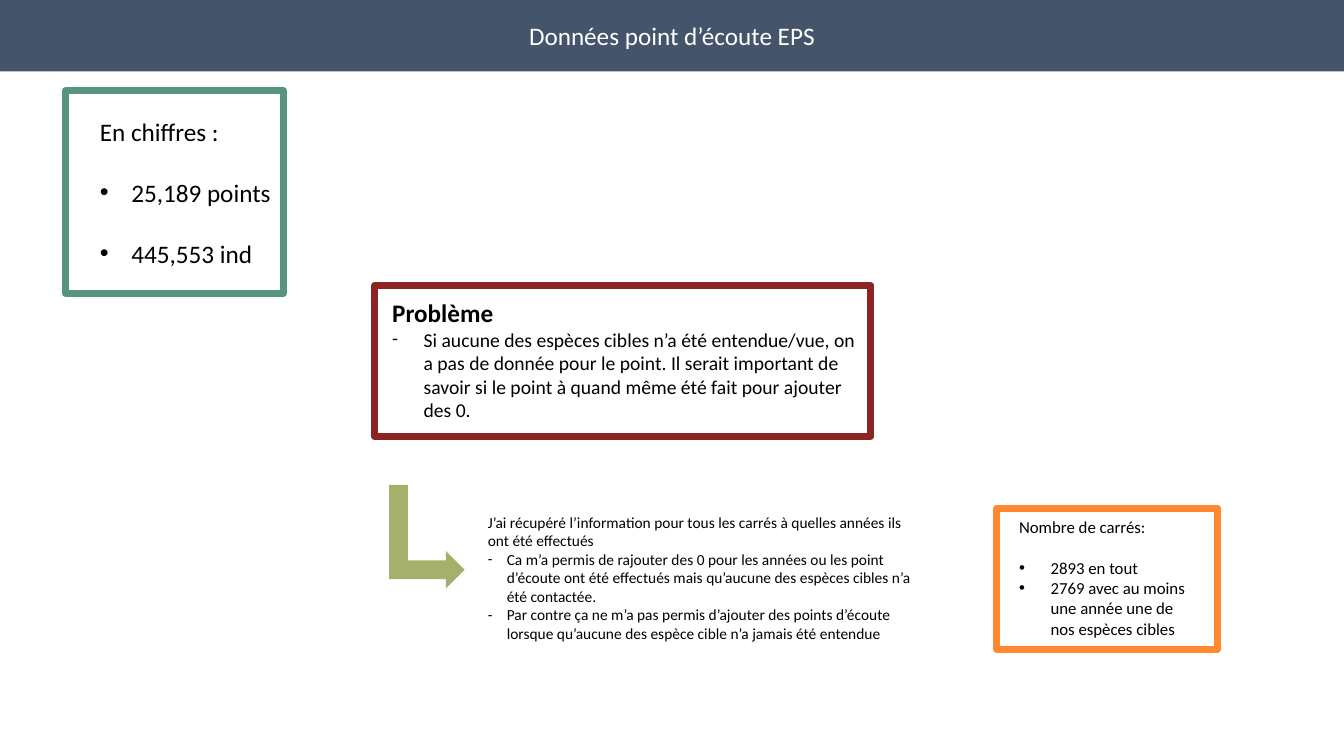
"""Builds the slide on EPS listening-point data."""
from dataclasses import dataclass

from lxml.etree import SubElement
from pptx import Presentation
from pptx.dml.color import RGBColor as Color
from pptx.enum.shapes import MSO_SHAPE as Preset
from pptx.enum.text import MSO_ANCHOR as Anchor, MSO_AUTO_SIZE as AutoSize, PP_ALIGN as Align
from pptx.oxml.ns import qn
from pptx.util import Pt


@dataclass(frozen=True)
class Theme:
    """Colours, font and type sizes of the slide."""
    font: str = "Calibri"
    banner: str = "44546A"
    light: str = "FFFFFF"
    dark: str = "000000"
    figures: str = "589482"
    problem: str = "8C2423"
    squares: str = "FF8830"
    arrow: str = "A6B06D"
    heading: int = 18
    body: int = 14
    small: int = 12
    note: int = 11
    frame_width: int = 5


def write(text_frame, text, size, color, font, bold=False, align=Align.LEFT,
          bullet=None, indent=0, before=0):
    """Add one formatted paragraph to a text frame."""
    first = text_frame.paragraphs[0]
    paragraph = text_frame.add_paragraph() if first.runs else first
    paragraph.alignment = align
    paragraph.line_spacing = 1.0
    paragraph.space_before = Pt(before)
    paragraph.space_after = Pt(0)
    run = paragraph.add_run()
    run.text = text
    run.font.name = font
    run.font.size = Pt(size)
    run.font.bold = bold
    run.font.color.rgb = Color.from_string(color)
    properties = paragraph._p.get_or_add_pPr()
    properties.set("marL", str(Pt(indent)))
    properties.set("indent", str(-Pt(indent)))
    if bullet:
        SubElement(properties, qn("a:buFont"), typeface="Arial" if bullet == "•" else font)
        SubElement(properties, qn("a:buChar"), char=bullet)
    else:
        SubElement(properties, qn("a:buNone"))


class SlideBuilder:
    """Holds the theme and the current slide."""

    def __init__(self, slide, theme):
        """Keep the slide and its theme."""
        self.slide = slide
        self.theme = theme

    def place(self, index, box, anchor):
        """Move a placeholder and return its text frame."""
        shape = self.slide.placeholders[index]
        shape.left, shape.top, shape.width, shape.height = map(Pt, box)
        text_frame = shape.text_frame
        text_frame.word_wrap = True
        text_frame.auto_size = AutoSize.NONE
        text_frame.vertical_anchor = anchor
        return shape, text_frame

    def title(self, text, box):
        """Fill the title banner."""
        theme = self.theme
        shape, text_frame = self.place(0, box, Anchor.MIDDLE)
        shape.fill.solid()
        shape.fill.fore_color.rgb = Color.from_string(theme.banner)
        write(text_frame, text, theme.heading, theme.light, theme.font, align=Align.CENTER)

    def bullets(self, index, box, heading, items, size, heading_size=None,
                bold=False, bullet="•", indent=22.5, gaps=(0, 0)):
        """Write a heading and its list in a body placeholder."""
        theme = self.theme
        _, text_frame = self.place(index, box, Anchor.TOP)
        write(text_frame, heading, heading_size or size, theme.dark, theme.font, bold=bold)
        for item, gap in zip(items, gaps):
            write(text_frame, item, size, theme.dark, theme.font,
                  bullet=bullet, indent=indent, before=gap)

    def shape(self, preset, box):
        """Add a preset shape without shadow."""
        shape = self.slide.shapes.add_shape(preset, *map(Pt, box))
        shape.shadow.inherit = False
        return shape

    def frame(self, box, color):
        """Add an unfilled coloured frame."""
        shape = self.shape(Preset.RECTANGLE, box)
        shape.fill.background()
        shape.line.color.rgb = Color.from_string(color)
        shape.line.width = Pt(self.theme.frame_width)

    def bent_arrow(self, box, color):
        """Add an arrow going down, then right."""
        shape = self.shape(Preset.BENT_UP_ARROW, box)
        shape.rotation = 90
        shape.fill.solid()
        shape.fill.fore_color.rgb = Color.from_string(color)
        shape.line.fill.background()


def main():
    """Build and save the presentation."""
    presentation = Presentation()
    presentation.slide_width, presentation.slide_height = Pt(960), Pt(540)
    theme = Theme()
    comparison_layout = presentation.slide_layouts[4]
    builder = SlideBuilder(presentation.slides.add_slide(comparison_layout), theme)

    builder.title("Données point d’écoute EPS", (0, 0, 960, 51))
    builder.bullets(
        1, (272.9, 208.8, 354.2, 97.2), "Problème",
        ["Si aucune des espèces cibles n’a été entendue/vue, on a pas de donnée pour le point. "
         "Il serait important de savoir si le point à quand même été fait pour ajouter des 0."],
        theme.body, heading_size=theme.heading, bold=True, bullet="-")
    builder.bullets(
        2, (64.1, 79.2, 139, 116.6), "En chiffres :",
        ["25,189 points", "445,553 ind"], theme.heading, gaps=(22, 22))
    builder.bullets(
        3, (341.3, 362.9, 324, 100.8),
        "J’ai récupéré l’information pour tous les carrés à quelles années ils ont été effectués",
        ["Ca m’a permis de rajouter des 0 pour les années ou les point d’écoute ont été effectués "
         "mais qu’aucune des espèces cibles n’a été contactée.",
         "Par contre ça ne m’a pas permis d’ajouter des points d’écoute lorsque qu’aucune des "
         "espèce cible n’a jamais été entendue"],
        theme.note, bullet="-", indent=13.5)
    builder.bullets(
        4, (720.7, 365.8, 139, 94.3), "Nombre de carrés:",
        ["2893 en tout", "2769 avec au moins une année une de nos espèces cibles"],
        theme.small, gaps=(14.6, 0))

    builder.frame((267.8, 203.8, 354.2, 108), theme.problem)
    builder.frame((46.8, 64.8, 155.5, 144.7), theme.figures)
    builder.frame((712.1, 362.9, 157.7, 100.8), theme.squares)
    builder.bent_arrow((267.8, 356.4, 74.2, 54), theme.arrow)
    presentation.save("out.pptx")


if __name__ == "__main__":
    main()
